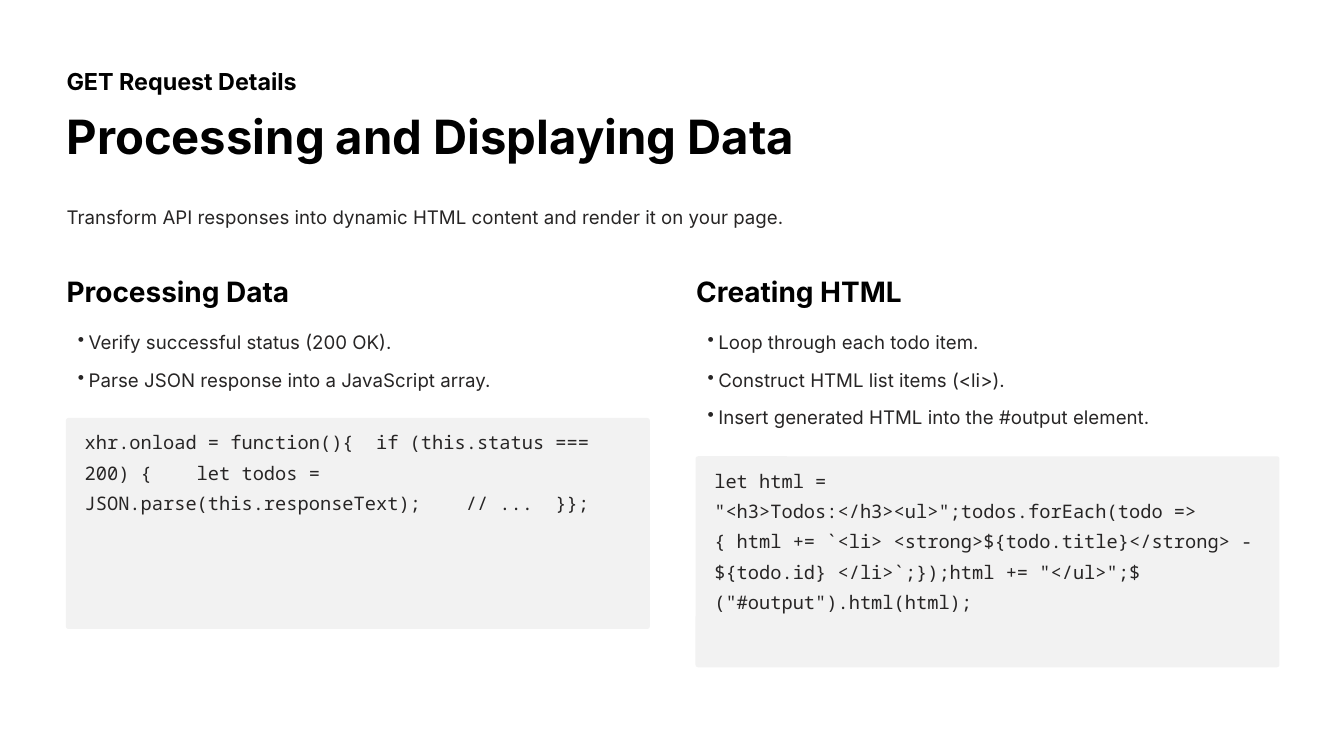
from lxml import etree
from pptx import Presentation
from pptx.dml.color import RGBColor
from pptx.enum.shapes import MSO_SHAPE
from pptx.enum.text import MSO_ANCHOR, MSO_AUTO_SIZE, PP_ALIGN
from pptx.oxml.ns import qn
from pptx.util import Pt

ROUNDED = MSO_SHAPE.ROUNDED_RECTANGLE
TOP = MSO_ANCHOR.TOP
NO_FIT = MSO_AUTO_SIZE.NONE
LEFT = PP_ALIGN.LEFT

BLACK = RGBColor(0x00, 0x00, 0x00)
INK = RGBColor(0x27, 0x25, 0x25)
PANEL = RGBColor(0xF2, 0xF2, 0xF2)
WHITE = RGBColor(0xFF, 0xFF, 0xFF)
SANS = "Inter"
MONO = "Noto Sans Mono"

PX = 9144
MARGIN = 99
COLUMN_STEP = 937
COLUMN_WIDTH = 867
LIST_TOP = 481
PANEL_HEIGHT = 314
PANEL_RADIUS = 4

COLUMNS = [
    (
        "Processing Data",
        ["Verify successful status (200 OK).", "Parse JSON response into a JavaScript array."],
        622,
        "xhr.onload = function(){  if (this.status === 200) {    let todos = "
        "JSON.parse(this.responseText);    // ...  }};",
    ),
    (
        "Creating HTML",
        [
            "Loop through each todo item.",
            "Construct HTML list items (<li>).",
            "Insert generated HTML into the #output element.",
        ],
        679,
        'let html = "<h3>Todos:</h3><ul>";todos.forEach(todo => '
        "{ html += `<li> <strong>${todo.title}</strong> - ${todo.id} </li>`;});"
        'html += "</ul>";$("#output").html(html);',
    ),
]


def place(box, left, top, width, height):
    box.left, box.top = left * PX, top * PX
    box.width, box.height = width * PX, height * PX


def write(box, lines, size, leading, color, font=SANS, bold=False, bullets=False):
    frame = box.text_frame
    frame.word_wrap = True
    frame.auto_size = NO_FIT
    frame.vertical_anchor = TOP
    frame.margin_left = frame.margin_top = frame.margin_right = frame.margin_bottom = 0
    for index, line in enumerate(lines):
        para = frame.add_paragraph() if index else frame.paragraphs[0]
        para.alignment = LEFT
        para.line_spacing = Pt(leading)
        if bullets:
            para.space_before = Pt(7.5 if index else 0)
            props = para._p.get_or_add_pPr()
            props.set("marL", str(33 * PX))
            props.set("indent", str(-16 * PX))
            etree.SubElement(props, qn("a:buChar")).set("char", "•")
        span = para.add_run()
        span.text = line
        span.font.name = font
        span.font.size = Pt(size)
        span.font.bold = bold
        span.font.color.rgb = color


deck = Presentation()
deck.slide_width = 2000 * PX
deck.slide_height = 1125 * PX
page = deck.slides.add_slide(deck.slide_layouts[5])
page.background.fill.solid()
page.background.fill.fore_color.rgb = WHITE
shapes = page.shapes

kicker = shapes.add_textbox(0, 0, 0, 0)
place(kicker, MARGIN, 98, COLUMN_WIDTH, 43)
write(kicker, ["GET Request Details"], 25, 31.2, BLACK, bold=True)

title = shapes.title
place(title, MARGIN, 157, 1802, 88)
write(title, ["Processing and Displaying Data"], 50.6, 63.1, BLACK, bold=True)

intro = shapes.add_textbox(0, 0, 0, 0)
place(intro, MARGIN, 294, 1802, 45)
write(intro, ["Transform API responses into dynamic HTML content and render it on your page."], 20, 32.5, INK)

for number, (heading_text, points, panel_top, code_text) in enumerate(COLUMNS):
    left = MARGIN + number * COLUMN_STEP

    heading = shapes.add_textbox(0, 0, 0, 0)
    place(heading, left, 406, COLUMN_WIDTH, 53)
    write(heading, [heading_text], 30, 38.1, BLACK, bold=True)

    point_list = shapes.add_textbox(0, 0, 0, 0)
    place(point_list, left, LIST_TOP, COLUMN_WIDTH, 56 * len(points) - 11)
    write(point_list, points, 20, 32.5, INK, bullets=True)

    panel = shapes.add_shape(ROUNDED, 0, 0, 0, 0)
    place(panel, left - 1, panel_top, COLUMN_WIDTH + 2, PANEL_HEIGHT)
    panel.adjustments[0] = PANEL_RADIUS / PANEL_HEIGHT
    panel.shadow.inherit = False
    panel.fill.solid()
    panel.fill.fore_color.rgb = PANEL
    panel.line.fill.background()

    code = shapes.add_textbox(0, 0, 0, 0)
    place(code, left + 27, panel_top + 8, 813, PANEL_HEIGHT - 16)
    write(code, [code_text], 20, 32.5, INK, font=MONO)

deck.save("out.pptx")
